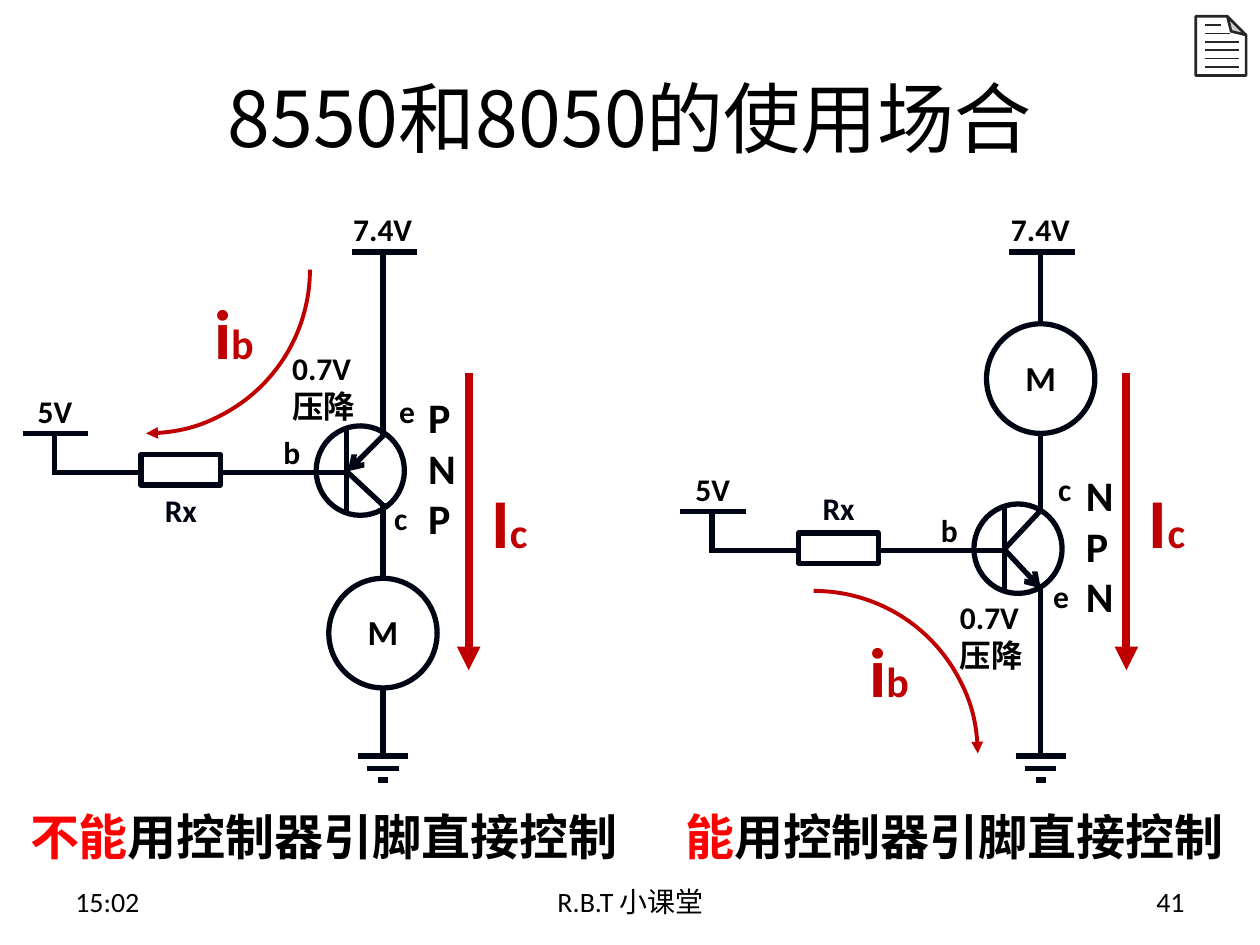
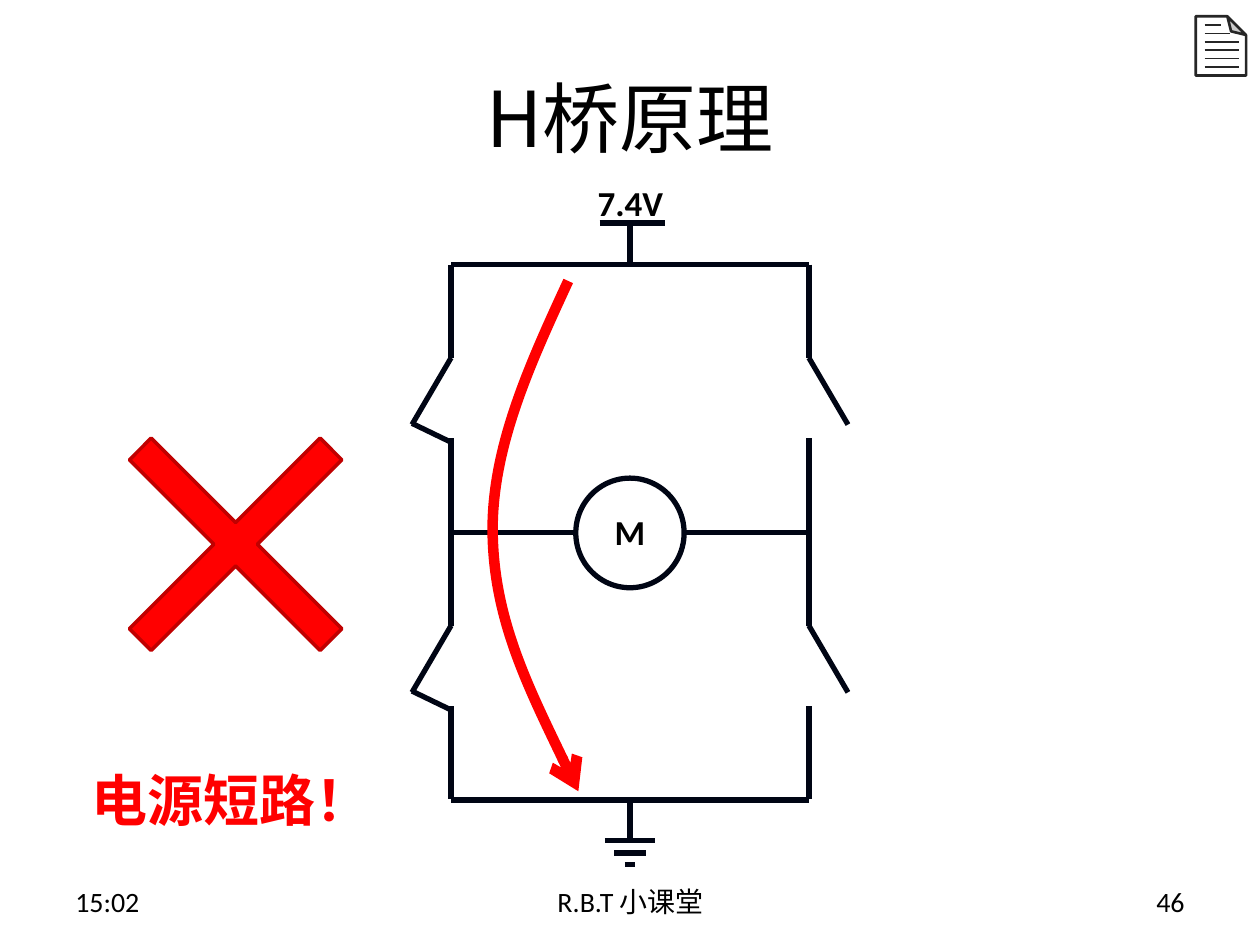
import pptx
import pptx.util
import pptx.dml.color
import pptx.enum.shapes
import pptx.enum.text
import pptx.oxml.ns
import lxml.etree

Inches = pptx.util.Inches
Pt = pptx.util.Pt
Color = pptx.dml.color.RGBColor
Shape = pptx.enum.shapes.MSO_SHAPE
Align = pptx.enum.text.PP_ALIGN
Anchor = pptx.enum.text.MSO_ANCHOR
qn = pptx.oxml.ns.qn

BLACK = Color(0, 0, 0)
WHITE = Color(255, 255, 255)
INK = Color(0x00, 0x05, 0x14)
GREY = Color(0x26, 0x26, 0x26)
DARK = Color(0xC0, 0, 0)
RED = Color(255, 0, 0)
LATIN = "Calibri"
HAN = "Noto Sans CJK SC"


def style(run, size, color, bold=True, font=LATIN):
    run.font.size = Pt(size)
    run.font.bold = bold
    run.font.name = font
    run.font.color.rgb = color
    east = lxml.etree.SubElement(run.font._element, qn("a:ea"))
    east.set("typeface", HAN)


def text(slide, box, words, size=18, color=BLACK, bold=True,
         align=Align.LEFT, anchor=Anchor.TOP, wrap=False):
    frame = slide.shapes.add_textbox(*map(Inches, box)).text_frame
    frame.word_wrap = wrap
    frame.vertical_anchor = anchor
    frame.text = words
    for para in frame.paragraphs:
        para.alignment = align
        for run in para.runs:
            style(run, size, color, bold)
    return frame


def pair(slide, box, first, second):
    frame = text(slide, box, *first)
    run = frame.paragraphs[0].add_run()
    run.text = second[0]
    style(run, *second[1:])


def stroke(item, color, width, head=None):
    item.line.color.rgb = color
    item.line.width = Pt(width)
    if head:
        end = lxml.etree.SubElement(item.line._get_or_add_ln(), qn("a:tailEnd"))
        end.set("type", head)


def wire(slide, x1, y1, x2, y2, color=INK, width=3, head=None):
    item = slide.shapes.add_connector(
        pptx.enum.shapes.MSO_CONNECTOR.STRAIGHT,
        *map(Inches, (x1, y1, x2, y2)))
    stroke(item, color, width, head)
    lxml.etree.SubElement(item._element.spPr, qn("a:effectLst"))


def shape(slide, kind, box, color=INK, width=3, fill=None, head=None):
    item = slide.shapes.add_shape(kind, *map(Inches, box))
    item.shadow.inherit = False
    if fill is None:
        item.fill.background()
    else:
        item.fill.solid()
        item.fill.fore_color.rgb = fill
    stroke(item, color, width, head)
    return item


def note(slide, x, y):
    page = shape(slide, Shape.FOLDED_CORNER, (x, y, 0.4, 0.47), GREY, 1.5, WHITE)
    props = page._element.spPr
    fold = lxml.etree.SubElement(next(props.iter(qn("a:avLst"))), qn("a:gd"))
    fold.set("name", "adj")
    fold.set("fmla", "val 37200")
    props.find(qn("a:xfrm")).set("flipV", "1")
    for row, span in enumerate((0.13, 0.2, 0.27, 0.27, 0.27, 0.27)):
        level = y + 0.07 + row * 0.066
        wire(slide, x + 0.07, level, x + 0.07 + span, level, GREY, 1)


def base(deck, words, number):
    slide = deck.slides.add_slide(deck.slide_layouts[5])
    title = slide.shapes.title
    title.left, title.top, title.width, title.height = map(
        Inches, (0.5, 0.3, 9, 1.25))
    title.text_frame.text = words
    title.text_frame.vertical_anchor = Anchor.MIDDLE
    title.text_frame.paragraphs[0].alignment = Align.CENTER
    style(title.text_frame.paragraphs[0].runs[0], 44, BLACK, False, HAN)
    for x, wide, part, align in (
            (0.5, 2.33, "15:02", Align.LEFT),
            (3.42, 3.17, "R.B.T 小课堂", Align.CENTER),
            (7.17, 2.33, number, Align.RIGHT)):
        text(slide, (x, 6.95, wide, 0.4), part, 16, BLACK, False,
             align, Anchor.MIDDLE, True)
    note(slide, 9.49, 0.13)
    return slide


def motor(slide, x, y):
    shape(slide, Shape.OVAL, (x, y, 0.86, 0.87))
    text(slide, (x + 0.2, y + 0.21, 0.46, 0.44), "M", 20, align=Align.CENTER)


def ground(slide, x, y):
    for half, drop in ((0.2, 0), (0.125, 0.1), (0.04, 0.19)):
        wire(slide, x - half, y + drop, x + half, y + drop)


def supply(slide, x, y, size=18):
    wire(slide, x, y, x + 0.52, y)
    wide = 0.67 if size == 18 else 0.73
    text(slide, (x + 0.25 - wide / 2, y - 0.38, wide, 0.4), "7.4V", size)


def branch(slide, x, y, drop):
    wire(slide, x, y, x + 0.52, y)
    wire(slide, x + 0.25, y, x + 0.25, y + 0.33)
    wire(slide, x + 0.23, y + 0.31, x + 0.94, y + 0.31)
    shape(slide, Shape.RECTANGLE, (x + 0.94, y + 0.17, 0.63, 0.24))
    wire(slide, x + 1.58, y + 0.31, x + 2.6, y + 0.31)
    text(slide, (x + 0.02, y - 0.38, 0.48, 0.4), "5V")
    text(slide, (x + 1.03, y + drop, 0.46, 0.4), "Rx", color=INK)
    text(slide, (x + 1.97, y - 0.05, 0.34, 0.4), "b")


def valve(slide, x, y, kind):
    shape(slide, Shape.OVAL, (x, y, 0.7, 0.71))
    wire(slide, x + 0.24, y, x + 0.24, y + 0.71)
    if kind == "PNP":
        wire(slide, x + 0.54, y + 0.07, x + 0.25, y + 0.36, head="arrow")
        wire(slide, x + 0.53, y + 0.63, x + 0.24, y + 0.36)
    else:
        wire(slide, x + 0.25, y + 0.37, x + 0.53, y + 0.67, head="arrow")
        wire(slide, x + 0.53, y + 0.05, x + 0.24, y + 0.36)
    text(slide, (x + 0.79, y - 0.32, 0.42, 1.31), "\n".join(kind), 24)


def flow(slide, x, arc, label, angles=()):
    curve = shape(slide, Shape.ARC, (*arc, 2.6, 2.6), DARK, 2.25, head="triangle")
    curve.rotation = 90
    for place, angle in enumerate(angles):
        curve.adjustments[place] = angle
    pair(slide, (*label, 0.52, 0.77), ("i", 40, DARK), ("b", 24, DARK))
    wire(slide, x, 2.96, x, 5.32, DARK, 4.5, "triangle")
    pair(slide, (x + 0.08, 3.75, 0.49, 0.77), ("I", 40, DARK), ("c", 24, DARK))


def circuit(slide, x, y, kind, drop, motor_top, wires, labels):
    axis = x + 2.86
    supply(slide, x + 2.61, 2)
    branch(slide, x, y, drop)
    valve(slide, x + 2.33, y - 0.06, kind)
    motor(slide, axis - 0.43, motor_top)
    for top, end in wires:
        wire(slide, axis, top, axis, end)
    ground(slide, axis, 6)
    for words, left, top, wide, high in labels:
        text(slide, (left, top, wide, high), words)


def verdict(slide, box, first):
    pair(slide, box, (first, 28, RED), ("用控制器引脚直接控制", 28, BLACK))


def bridge(slide, x, top, end):
    middle = (top + end) / 2
    supply(slide, x - 0.24, top - 0.33, 20)
    wire(slide, x, top - 0.33, x, top)
    wire(slide, x, end, x, end + 0.32)
    ground(slide, x, end + 0.32)
    for side in (-1, 1):
        edge = x + side * 1.42
        tip = edge + side * 0.31
        for level in (top, end):
            wire(slide, edge, level, x, level)
        wire(slide, edge, middle, x + side * 0.43, middle)
        for start in (top, middle):
            wire(slide, edge, start, edge, start + 0.74)
            wire(slide, edge, start + 0.74, tip, start + 1.27)
            wire(slide, edge, start + 1.38, edge, start + 2.12)
            if side == -1:
                wire(slide, tip, start + 1.26, edge, start + 1.41)
    motor(slide, x - 0.43, middle - 0.43)


def short(slide, points):
    spots = [(Inches(x), Inches(y)) for x, y in points]
    maker = slide.shapes.build_freeform(*spots[0])
    maker.add_line_segments(spots[1:], close=False)
    curve = maker.convert_to_shape()
    curve.shadow.inherit = False
    curve.fill.background()
    stroke(curve, RED, 6, "arrow")
    track = next(curve._element.iter(qn("a:path")))
    steps = track.findall(qn("a:lnTo"))
    for first in range(0, len(steps), 3):
        bend = lxml.etree.SubElement(track, qn("a:cubicBezTo"))
        for step in steps[first:first + 3]:
            bend.append(step[0])
            track.remove(step)


def warning(slide):
    cross = shape(slide, Shape.CROSS, (0.8, 3.25, 2.14, 2.14), DARK, 2, RED)
    cross.rotation = 45
    cross.adjustments[0] = 0.443
    text(slide, (0.63, 6.03, 2.56, 0.64), "电源短路！", 32, RED, wrap=True)


def usage(deck):
    slide = base(deck, "8550和8050的使用场合", "41")
    circuit(slide, 0.18, 3.44, "PNP", 0.41, 4.59,
            ((2.02, 3.47), (3.99, 4.6), (5.46, 6)),
            (("e", 3.07, 3.06, 0.33, 0.4), ("c", 3.03, 3.91, 0.31, 0.4),
             ("0.7V\n压降", 2.22, 2.72, 0.71, 0.71)))
    circuit(slide, 5.4, 4.06, "NPN", -0.23, 2.57,
            ((2.02, 2.56), (3.44, 4.04), (4.65, 6)),
            (("c", 8.3, 3.68, 0.31, 0.4), ("e", 8.26, 4.53, 0.33, 0.4),
             ("0.7V\n压降", 7.52, 4.7, 0.71, 0.71)))
    flow(slide, 3.72, (-0.14, 0.84), (1.6, 2.25))
    flow(slide, 8.94, (5.16, 4.69), (6.8, 4.93), (107.92, 161.74))
    verdict(slide, (0.14, 6.35, 4.94, 0.57), "不能")
    verdict(slide, (5.34, 6.35, 4.54, 0.57), "能")


def theory(deck):
    slide = base(deck, "H桥原理", "46")
    bridge(slide, 5, 2.1, 6.35)
    warning(slide)
    short(slide, ((4.51, 2.23), (4.2, 2.9), (3.9, 3.56), (3.91, 4.23),
                  (3.92, 4.91), (4.26, 5.6), (4.59, 6.28)))


deck = pptx.Presentation()
deck.slide_width, deck.slide_height = Inches(10), Inches(7.5)
usage(deck)
theory(deck)
deck.save("out.pptx")
